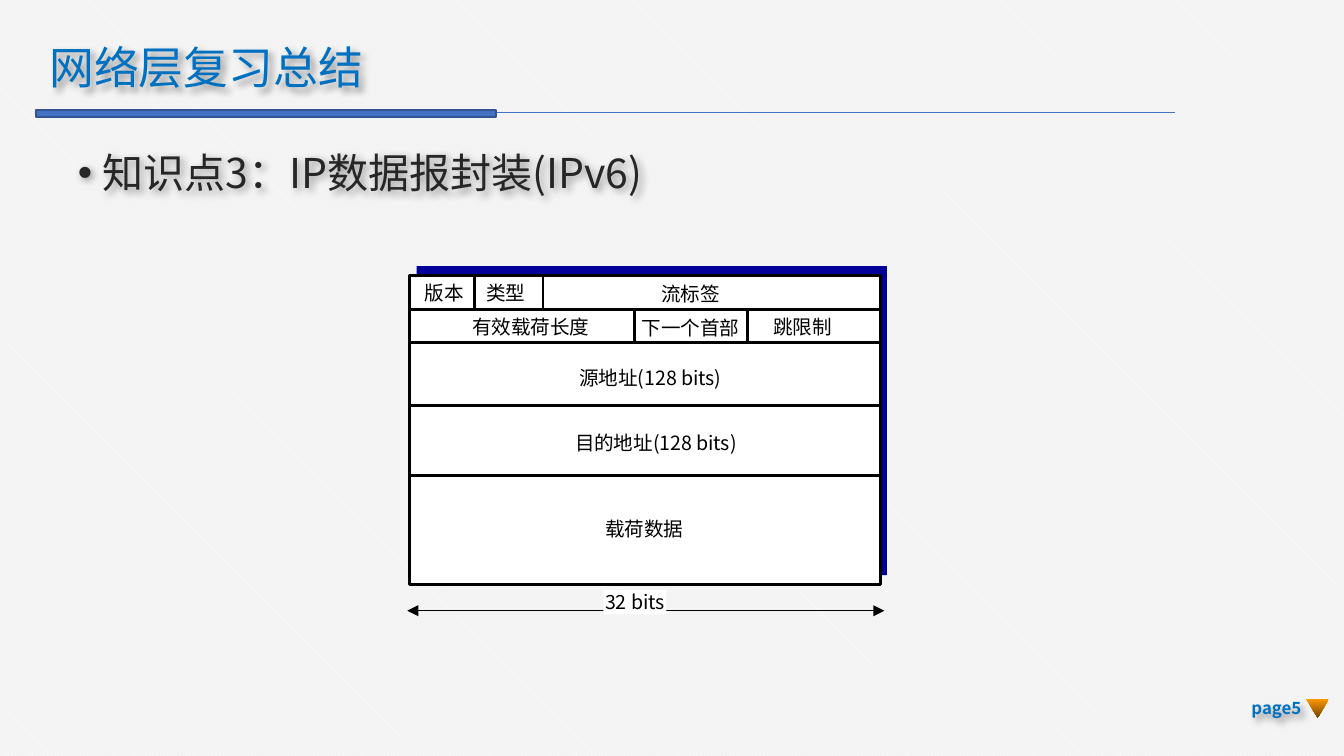
from lxml import etree
from pptx import Presentation
from pptx import util as u
from pptx.dml import color
from pptx.enum import dml, shapes, text
from pptx.oxml import ns

FONT = "Noto Sans CJK SC"
BLUE, BLACK, WHITE = "0070C0", "000000", "FFFFFF"
HEADER_LEFT, HEADER_TOP, HEADER_W, HEADER_H = 219.6, 147.6, 252, 165.6
# Lower edges of the header rows
FLAGS_END, LENGTH_END, SOURCE_END, TARGET_END = 165.6, 183.6, 217.4, 254.9

ROW_LINES = [FLAGS_END, LENGTH_END, SOURCE_END, TARGET_END]
# x, top, bottom
FIELD_LINES = [
    (254.2, HEADER_TOP, FLAGS_END), (290.9, HEADER_TOP, FLAGS_END),
    (339.8, FLAGS_END, LENGTH_END), (400.3, FLAGS_END, LENGTH_END),
]
# label, centre x, top, width, line spacing
FIELDS = [
    ("版本", 238, 150.5, 21, 1), ("类型", 271, 150.5, 21, 1),
    ("流标签", 370, 151.2, 32, 1), ("有效载荷长度", 284.4, 168.5, 63, 1),
    ("下一个首部", 370, 169.2, 53, 1), ("跳限制", 430, 168.5, 32, 1),
    ("源地址(128 bits)", 348.5, 198, 79, 0.85),
    ("目的地址(128 bits)", 351.4, 232.6, 89, 0.85),
    ("载荷数据", 345.2, 277.2, 70, 1),
]


def rgb(hex_code):
    return color.RGBColor.from_string(hex_code)


def add_xml(parent, tag, **attributes):
    child = etree.SubElement(parent, ns.qn(tag))
    for name, value in attributes.items():
        child.set(name, str(value))
    return child


def add_block(slide, left, top, width, height, fill, border=None, weight=1,
              kind=shapes.MSO_SHAPE.RECTANGLE):
    block = slide.shapes.add_shape(
        kind, u.Pt(left), u.Pt(top), u.Pt(width), u.Pt(height))
    block.shadow.inherit = False
    if fill:
        block.fill.solid()
        block.fill.fore_color.rgb = rgb(fill)
    if border:
        block.line.color.rgb = rgb(border)
        block.line.width = u.Pt(weight)
    else:
        block.line.fill.background()
    return block


def add_line(slide, x1, y1, x2, y2, stroke=BLACK, weight=1.5, arrows=False):
    line = slide.shapes.add_connector(
        shapes.MSO_CONNECTOR.STRAIGHT, u.Pt(x1), u.Pt(y1), u.Pt(x2), u.Pt(y2))
    line.line.color.rgb = rgb(stroke)
    line.line.width = u.Pt(weight)
    if arrows:
        for end in ("a:headEnd", "a:tailEnd"):
            add_xml(line.line._get_or_add_ln(), end, type="triangle")
    add_xml(line._element.spPr, "a:effectLst")


def write(shape, words, size, ink, bold=False, inset=(0, 0), wrap=False,
          align=text.PP_ALIGN.LEFT, anchor=text.MSO_ANCHOR.TOP, spacing=1,
          bullet=False):
    side, edge = (u.Pt(value) for value in inset)
    frame_format = {
        "margin_left": side, "margin_right": side,
        "margin_top": edge, "margin_bottom": edge,
        "word_wrap": wrap, "vertical_anchor": anchor,
    }
    for name, value in frame_format.items():
        setattr(shape.text_frame, name, value)

    paragraph = shape.text_frame.paragraphs[0]
    paragraph.alignment = align
    paragraph.line_spacing = spacing
    if bullet:
        properties = paragraph._p.get_or_add_pPr()
        properties.set("marL", str(u.Pt(13.5)))
        properties.set("indent", str(u.Pt(-13.5)))
        add_xml(properties, "a:buFont", typeface="Arial")
        add_xml(properties, "a:buChar", char="•")

    run = paragraph.add_run()
    run.text = words
    for name, value in {"size": u.Pt(size), "name": FONT, "bold": bold}.items():
        setattr(run.font, name, value)
    run.font.color.rgb = rgb(ink)
    add_xml(run._r.get_or_add_rPr(), "a:ea", typeface=FONT)


def add_text(slide, left, top, width, height, words, size, ink, soft_shadow=False,
             **layout):
    box = slide.shapes.add_textbox(
        u.Pt(left), u.Pt(top), u.Pt(width), u.Pt(height))
    write(box, words, size, ink, **layout)
    if soft_shadow:
        effects = add_xml(box._element.spPr, "a:effectLst")
        shadow = add_xml(effects, "a:outerShdw", blurRad=u.Pt(4), dist=u.Pt(3),
                         dir=2700000, algn="tl", rotWithShape=0)
        shade = add_xml(shadow, "a:srgbClr", val=BLACK)
        add_xml(shade, "a:alpha", val=40000)


def add_background(slide):
    fill = slide.background.fill
    fill.patterned()
    fill.pattern = dml.MSO_PATTERN.DARK_DOWNWARD_DIAGONAL
    fill.fore_color.rgb = rgb(WHITE)
    fill.back_color.rgb = rgb("F2F2F2")


def add_page_marker(slide):
    add_text(slide, 654.5, 368.6, 49.7, 21.6, "page5", 9, BLUE, bold=True,
             soft_shadow=True, inset=(7.2, 3.6), wrap=True,
             align=text.PP_ALIGN.RIGHT, anchor=text.MSO_ANCHOR.MIDDLE)
    marker = add_block(slide, 699.8, 374.4, 12.2, 10.1, None,
                       kind=shapes.MSO_SHAPE.FLOWCHART_MERGE)
    marker.fill.gradient()
    marker.fill.gradient_angle = 270
    for stop, shade, position in zip(
            marker.fill.gradient_stops, ("FF9900", "764700"), (0, 1)):
        stop.color.rgb = rgb(shade)
        stop.position = position


def add_packet_header(slide):
    # Offset backing and white frame
    add_block(slide, 223.2, 142.6, HEADER_W, HEADER_H, "000099")
    add_block(slide, HEADER_LEFT, HEADER_TOP, HEADER_W, HEADER_H, WHITE, BLACK, 1.5)

    # Row and field dividers
    for y in ROW_LINES:
        add_line(slide, HEADER_LEFT, y, HEADER_LEFT + HEADER_W, y)
    for x, top, bottom in FIELD_LINES:
        add_line(slide, x, top, x, bottom)

    # Field labels
    for label, centre, top, width, spacing in FIELDS:
        add_text(slide, centre - width / 2, top, width, 13, label, 10.5, BLACK,
                 align=text.PP_ALIGN.CENTER, spacing=spacing)

    # Width of the header
    add_line(slide, 218.2, 327.2, 473.8, 327.2, weight=0.75, arrows=True)
    bit_width = add_block(slide, 323.3, 316.1, 33.8, 13, WHITE)
    write(bit_width, "32 bits", 10.5, BLACK, align=text.PP_ALIGN.CENTER)


def main():
    deck = Presentation()
    deck.slide_width, deck.slide_height = u.Pt(720), u.Pt(405)
    slide = deck.slides.add_slide(deck.slide_layouts[6])
    add_background(slide)

    # Title and its rule
    add_line(slide, 629.3, 60.5, 19.4, 60.5, "4472C4", 0.5)
    add_block(slide, 19.4, 59, 246.2, 3.6, "4472C4", "325491")
    add_text(slide, 19.4, 21.6, 312.5, 31.7, "网络层复习总结", 24, BLUE,
             soft_shadow=True, inset=(7.2, 3.6), wrap=True,
             anchor=text.MSO_ANCHOR.MIDDLE, spacing=0.9)

    # Topic
    add_text(slide, 36.7, 73.4, 629.3, 327.6, "知识点3：IP数据报封装(IPv6)", 22,
             "262626", soft_shadow=True, inset=(5, 2.9), wrap=True, spacing=1.1,
             bullet=True)

    add_packet_header(slide)
    add_page_marker(slide)
    deck.save("out.pptx")


if __name__ == "__main__":
    main()
